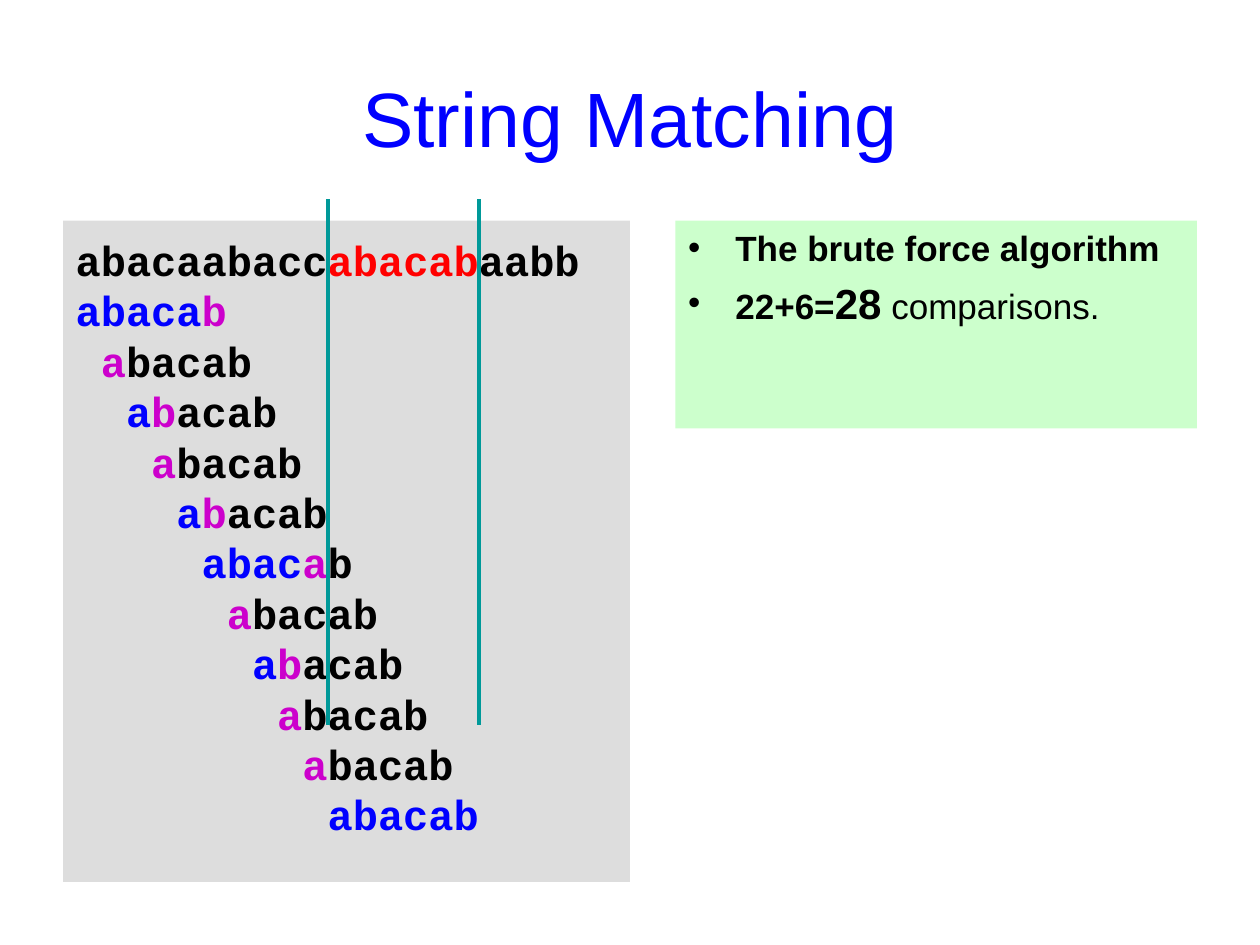
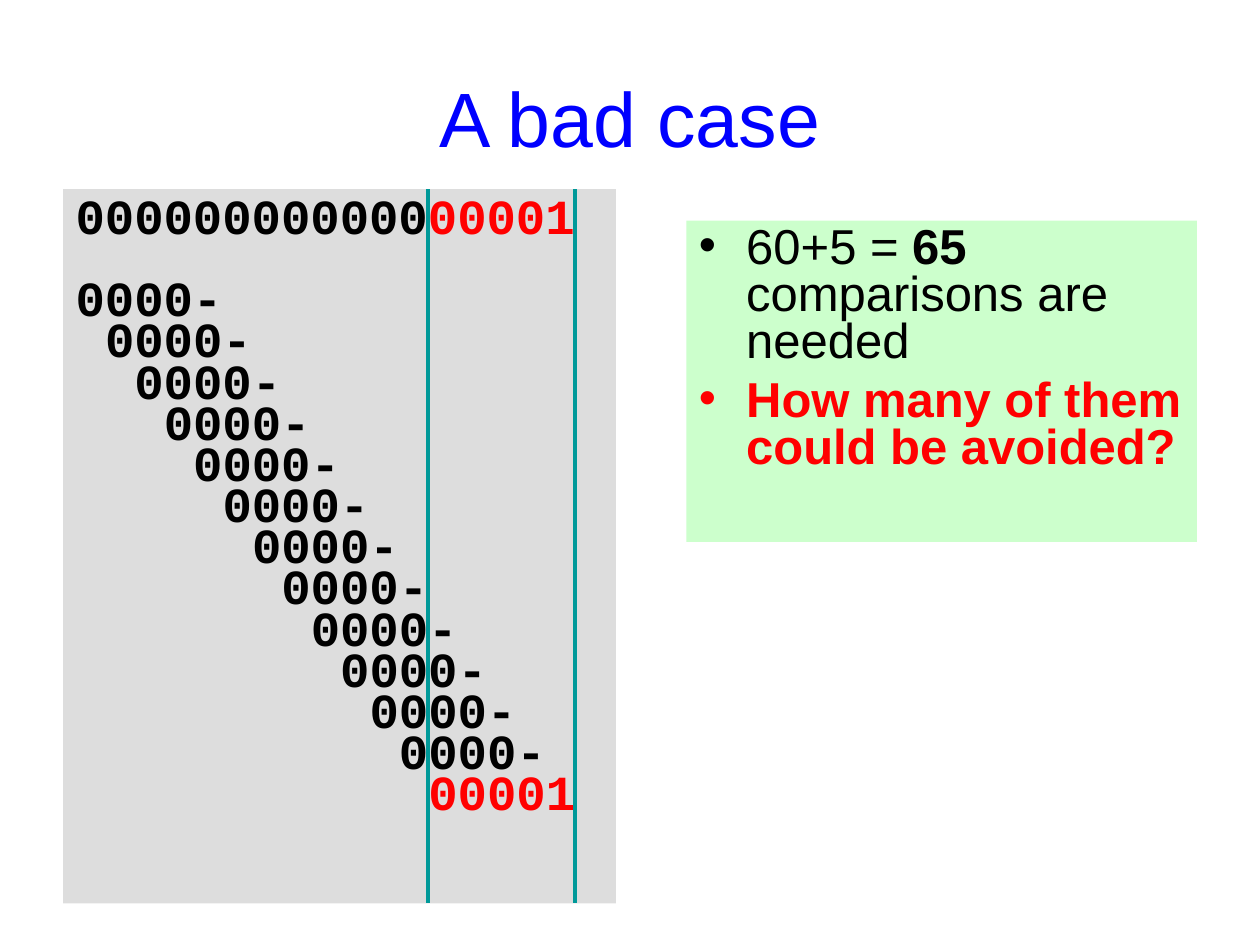
import pptx
import pptx.dml.color
import pptx.enum.shapes
import pptx.enum.text
import pptx.oxml.xmlchemy
import pptx.util

Pt = pptx.util.Pt
ANCHOR = pptx.enum.text.MSO_ANCHOR
ALIGN = pptx.enum.text.PP_ALIGN

# Shared style
BLACK, BLUE, RED, MAGENTA = "000000", "0000FF", "FF0000", "CC00CC"
GRAY, GREEN, TEAL = "DDDDDD", "CCFFCC", "009999"
SANS, MONO = "Arial", "Courier New"
TITLE_BOX = (36, 21.6, 648, 90)
INSET_X, INSET_Y, CODE_INSET_Y = 7.2, 3.6, 8
CHAR_WIDTH = 0.6    # advance of a monospaced letter, in ems
LINE_HEIGHT = 1.2   # full line, in ems
BULLET_INDENT = 27

# Content: note runs are (text, size, bold, colour)
SLIDES = [
    {
        "title": "String Matching",
        "text": "abacaabaccabacabaabb", "pattern": "abacab",
        "size": 24, "spacing": 1, "gap_rows": 0, "miss_mark": None,
        "colors": {"hit": BLUE, "miss": MAGENTA, "found": BLUE},
        "code_box": (36, 126, 324, 378),
        "guide_y": (113.8, 414),
        "note_box": (386, 126, 298, 118.8),
        "note_spacing": 1, "note_gap": 5,
        "notes": [
            [("The brute force algorithm", 20, True, BLACK)],
            [("22+6=", 20, True, BLACK), ("28", 24, True, BLACK),
             (" ", 20, True, BLACK), ("comparisons.", 20, False, BLACK)],
        ],
    },
    {
        "title": "A bad case",
        "text": "00000000000000001", "pattern": "00001",
        "size": 28, "spacing": 0.7, "gap_rows": 1, "miss_mark": "-",
        "colors": {"hit": BLACK, "miss": BLACK, "found": RED},
        "code_box": (36, 108, 316, 408.2),
        "guide_y": (108, 516.2),
        "note_box": (392.2, 126, 291.8, 183.6),
        "note_spacing": 0.8, "note_gap": 7,
        "notes": [
            [("60+5 = ", 28, False, BLACK), ("65", 28, True, BLACK),
             (" comparisons are needed", 28, False, BLACK)],
            [("How many of them could be avoided?", 28, True, RED)],
        ],
    },
]


def rgb(color):
    return pptx.dml.color.RGBColor.from_string(color)


def set_attrs(obj, values):
    for name, value in values.items():
        setattr(obj, name, value)


def place(sp, box, fill=None, inset_y=INSET_Y, anchor=ANCHOR.TOP):
    """Move a placeholder and format its frame; return the text frame."""
    set_attrs(sp, dict(zip(("left", "top", "width", "height"), map(Pt, box))))
    if fill:
        sp.fill.solid()
        sp.fill.fore_color.rgb = rgb(fill)
    tf = sp.text_frame
    set_attrs(tf, {
        "word_wrap": True, "vertical_anchor": anchor,
        "auto_size": pptx.enum.text.MSO_AUTO_SIZE.NONE,
        "margin_left": Pt(INSET_X), "margin_right": Pt(INSET_X),
        "margin_top": Pt(inset_y), "margin_bottom": Pt(INSET_Y),
    })
    return tf


def add_run(p, text, font, size, bold, color):
    r = p.add_run()
    r.text = text
    set_attrs(r.font, {"name": font, "size": Pt(size), "bold": bold})
    r.font.color.rgb = rgb(color)


def add_paragraph(tf, index, runs, font, spacing, before=0, after=0,
                  left=0, bullet=False):
    p = tf.paragraphs[0] if index == 0 else tf.add_paragraph()
    for text, size, bold, color in runs:
        add_run(p, text, font, size, bold, color)
    pitch = LINE_HEIGHT * spacing * max(run[1] for run in runs)
    set_attrs(p, {"alignment": ALIGN.LEFT, "line_spacing": Pt(pitch),
                  "space_before": Pt(before), "space_after": Pt(after)})
    pPr = p._p.get_or_add_pPr()
    pPr.set("marL", str(Pt(left)))
    pPr.set("indent", str(Pt(-left if bullet else 0)))
    tag = "a:buChar" if bullet else "a:buNone"
    bu = pptx.oxml.xmlchemy.OxmlElement(tag)
    if bullet:
        bu.set("char", "•")
    pPr.append(bu)


def match_rows(text, pattern, colors, miss_mark):
    """Brute force search: one row of (text, colour) pieces per shift."""
    rows = []
    for shift in range(len(text) - len(pattern) + 1):
        hits = 0
        while hits < len(pattern) and text[shift + hits] == pattern[hits]:
            hits += 1
        if hits == len(pattern):
            return rows + [[(pattern, colors["found"])]]
        pieces = [(pattern[:hits], colors["hit"]),
                  (miss_mark or pattern[hits], colors["miss"]),
                  (pattern[hits + 1:], BLACK)]
        rows.append([piece for piece in pieces if piece[0]])
    return rows


def add_guide(slide, x, top, bottom):
    line = slide.shapes.add_connector(
        pptx.enum.shapes.MSO_CONNECTOR.STRAIGHT,
        Pt(x), Pt(top), Pt(x), Pt(bottom))
    line.line.color.rgb = rgb(TEAL)
    line.line.width = Pt(2.25)
    line._element.spPr.append(pptx.oxml.xmlchemy.OxmlElement("a:effectLst"))


def build_slide(prs, data):
    slide = prs.slides.add_slide(prs.slide_layouts[3])
    title, code, note = slide.placeholders

    # Title
    p = place(title, TITLE_BOX, anchor=ANCHOR.MIDDLE).paragraphs[0]
    p.alignment = ALIGN.CENTER
    add_run(p, data["title"], SANS, 44, False, BLUE)

    # Searched text, then the pattern at each shift
    text, pattern, size = data["text"], data["pattern"], data["size"]
    start = text.index(pattern)
    end = start + len(pattern)
    header = [(text[:start], BLACK), (pattern, RED), (text[end:], BLACK)]
    rows = match_rows(text, pattern, data["colors"], data["miss_mark"])
    tf = place(code, data["code_box"], GRAY, CODE_INSET_Y)
    step = size * CHAR_WIDTH
    gap = data["gap_rows"] * size * LINE_HEIGHT * data["spacing"]
    for i, row in enumerate([header] + rows):
        runs = [(t, size, True, color) for t, color in row if t]
        add_paragraph(tf, i, runs, MONO, data["spacing"],
                      after=gap if i == 0 else 0, left=max(i - 1, 0) * step)

    # Bulleted notes
    tf = place(note, data["note_box"], GREEN)
    for i, runs in enumerate(data["notes"]):
        add_paragraph(tf, i, runs, SANS, data["note_spacing"],
                      before=data["note_gap"], left=BULLET_INDENT, bullet=True)

    # Guides on both sides of the match
    for column in (start, end):
        x = data["code_box"][0] + INSET_X + column * step
        add_guide(slide, x, *data["guide_y"])


def main():
    prs = pptx.Presentation()
    set_attrs(prs, {"slide_width": Pt(720), "slide_height": Pt(540)})
    for data in SLIDES:
        build_slide(prs, data)
    prs.save("out.pptx")


if __name__ == "__main__":
    main()
